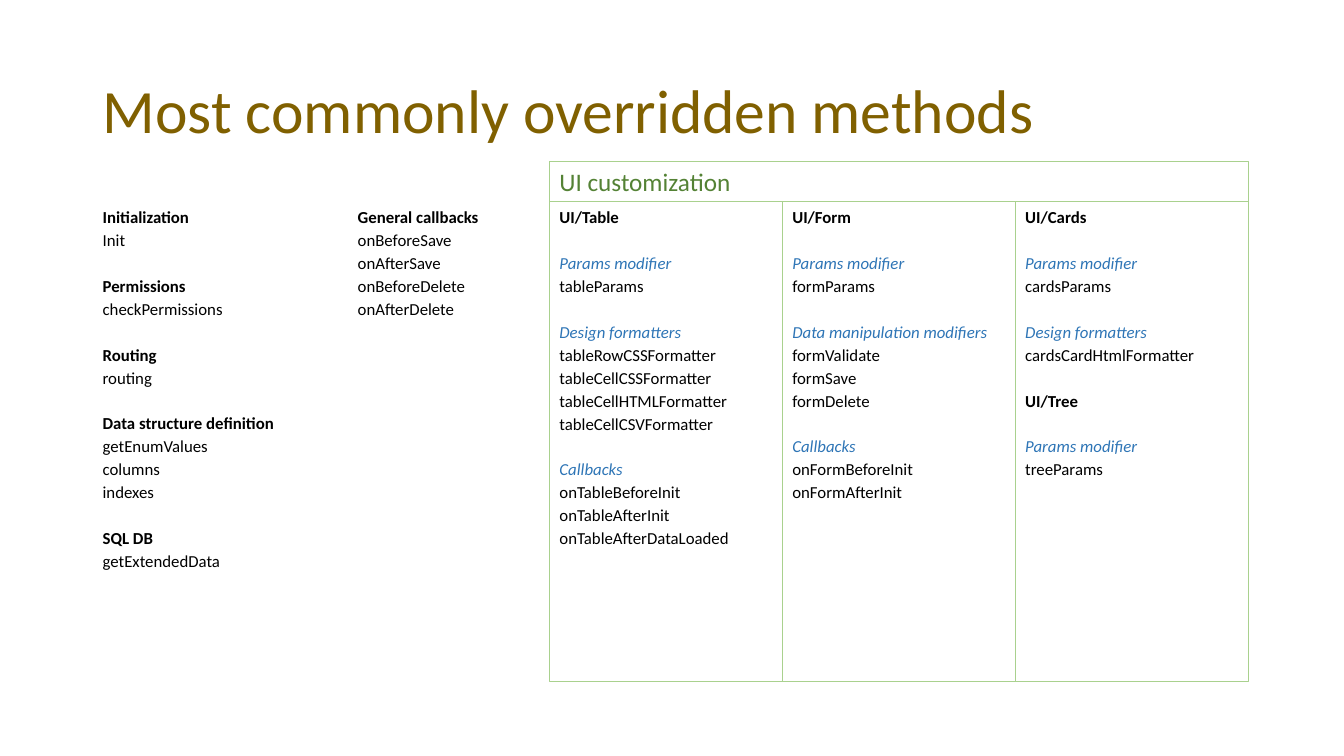
"""Build the slide listing the most commonly overridden methods."""
from dataclasses import dataclass

from pptx import Presentation
from pptx.dml.color import RGBColor
from pptx.enum.shapes import MSO_SHAPE
from pptx.enum.text import MSO_ANCHOR, MSO_AUTO_SIZE, PP_ALIGN
from pptx.shapes.autoshape import Shape
from pptx.slide import Slide
from pptx.text.text import _Paragraph as Paragraph
from pptx.util import Inches, Pt

FONT = "Calibri"
BLACK = RGBColor(0x00, 0x00, 0x00)
BROWN = RGBColor(0x80, 0x60, 0x00)
BLUE = RGBColor(0x2E, 0x75, 0xB6)
GREEN = RGBColor(0x54, 0x82, 0x35)
LIGHT_GREEN = RGBColor(0xA9, 0xD1, 0x8E)

COLUMN_TOP, COLUMN_HEIGHT = 2, 4.76
FRAME_LEFT, FRAME_WIDTH, HEADER_HEIGHT = 5.45, 2.31, 0.4
LINE_GAP, GROUP_GAP = Pt(2), Pt(18.4)


@dataclass(frozen=True)
class Group:
    heading: str
    methods: tuple[str, ...] = ()
    is_subgroup: bool = False


@dataclass(frozen=True)
class Column:
    left: float
    width: float
    groups: tuple[Group, ...]
    framed: bool = False


def subgroup(heading: str, *methods: str) -> Group:
    return Group(heading, methods, True)


GENERAL_COLUMNS = (
    Column(0.92, 2.53, (
        Group("Initialization", ("Init",)),
        Group("Permissions", ("checkPermissions",)),
        Group("Routing", ("routing",)),
        Group("Data structure definition", ("getEnumValues", "columns", "indexes")),
        Group("SQL DB", ("getExtendedData",)),
    )),
    Column(3.45, 2.1, (
        Group("General callbacks",
              ("onBeforeSave", "onAfterSave", "onBeforeDelete", "onAfterDelete")),
    )),
)

UI_GROUPS = (
    (
        Group("UI/Table"),
        subgroup("Params modifier", "tableParams"),
        subgroup("Design formatters", "tableRowCSSFormatter", "tableCellCSSFormatter",
                 "tableCellHTMLFormatter", "tableCellCSVFormatter"),
        subgroup("Callbacks", "onTableBeforeInit", "onTableAfterInit",
                 "onTableAfterDataLoaded"),
    ),
    (
        Group("UI/Form"),
        subgroup("Params modifier", "formParams"),
        subgroup("Data manipulation modifiers", "formValidate", "formSave", "formDelete"),
        subgroup("Callbacks", "onFormBeforeInit", "onFormAfterInit"),
    ),
    (
        Group("UI/Cards"),
        subgroup("Params modifier", "cardsParams"),
        subgroup("Design formatters", "cardsCardHtmlFormatter"),
        Group("UI/Tree"),
        subgroup("Params modifier", "treeParams"),
    ),
)


def format_paragraph(para: Paragraph, size: float, color: RGBColor,
                     bold: bool = False, italic: bool = False) -> None:
    para.alignment = PP_ALIGN.LEFT
    for span in para.runs:
        span.font.name = FONT
        span.font.size = Pt(size)
        span.font.color.rgb = color
        span.font.bold = bold
        span.font.italic = italic


def add_box(page: Slide, left: float, top: float, width: float, height: float,
            framed: bool) -> Shape:
    bounds = [Inches(value) for value in (left, top, width, height)]
    if framed:
        box = page.shapes.add_shape(MSO_SHAPE.RECTANGLE, *bounds)
        box.shadow.inherit = False
        box.fill.background()
        box.line.color.rgb = LIGHT_GREEN
        box.line.width = Pt(0.75)
    else:
        box = page.shapes.add_textbox(*bounds)
    box.text_frame.word_wrap = True
    box.text_frame.vertical_anchor = MSO_ANCHOR.TOP
    return box


def add_column(page: Slide, column: Column) -> None:
    box = add_box(page, column.left, COLUMN_TOP, column.width, COLUMN_HEIGHT, column.framed)
    frame = box.text_frame
    frame.text = "\n".join(
        line for group in column.groups for line in (group.heading, *group.methods))
    paragraphs = iter(frame.paragraphs)
    for index, group in enumerate(column.groups):
        heading = next(paragraphs)
        heading.space_before = GROUP_GAP if index else LINE_GAP
        format_paragraph(heading, 12, BLUE if group.is_subgroup else BLACK,
                         bold=not group.is_subgroup, italic=group.is_subgroup)
        for _ in group.methods:
            method = next(paragraphs)
            method.space_before = LINE_GAP
            format_paragraph(method, 12, BLACK)


def add_title(page: Slide) -> None:
    title = page.shapes.title
    title.left, title.top = Inches(0.92), Inches(0.4)
    title.width, title.height = Inches(11.5), Inches(1.45)
    frame = title.text_frame
    frame.text = "Most commonly overridden methods"
    frame.word_wrap = True
    frame.auto_size = MSO_AUTO_SIZE.NONE
    frame.vertical_anchor = MSO_ANCHOR.MIDDLE
    frame.paragraphs[0].line_spacing = 0.9
    format_paragraph(frame.paragraphs[0], 44, BROWN)


def add_header(page: Slide) -> None:
    header = add_box(page, FRAME_LEFT, COLUMN_TOP - HEADER_HEIGHT,
                     FRAME_WIDTH * len(UI_GROUPS), HEADER_HEIGHT, True)
    header.text_frame.text = "UI customization"
    format_paragraph(header.text_frame.paragraphs[0], 18, GREEN)


def main() -> None:
    deck = Presentation()
    deck.slide_width, deck.slide_height = Inches(13.33), Inches(7.5)
    page = deck.slides.add_slide(deck.slide_layouts.get_by_name("Title Only"))
    add_title(page)
    ui_columns = tuple(
        Column(FRAME_LEFT + index * FRAME_WIDTH, FRAME_WIDTH, groups, True)
        for index, groups in enumerate(UI_GROUPS))
    for column in GENERAL_COLUMNS + ui_columns:
        add_column(page, column)
    add_header(page)
    deck.save("out.pptx")


main()
